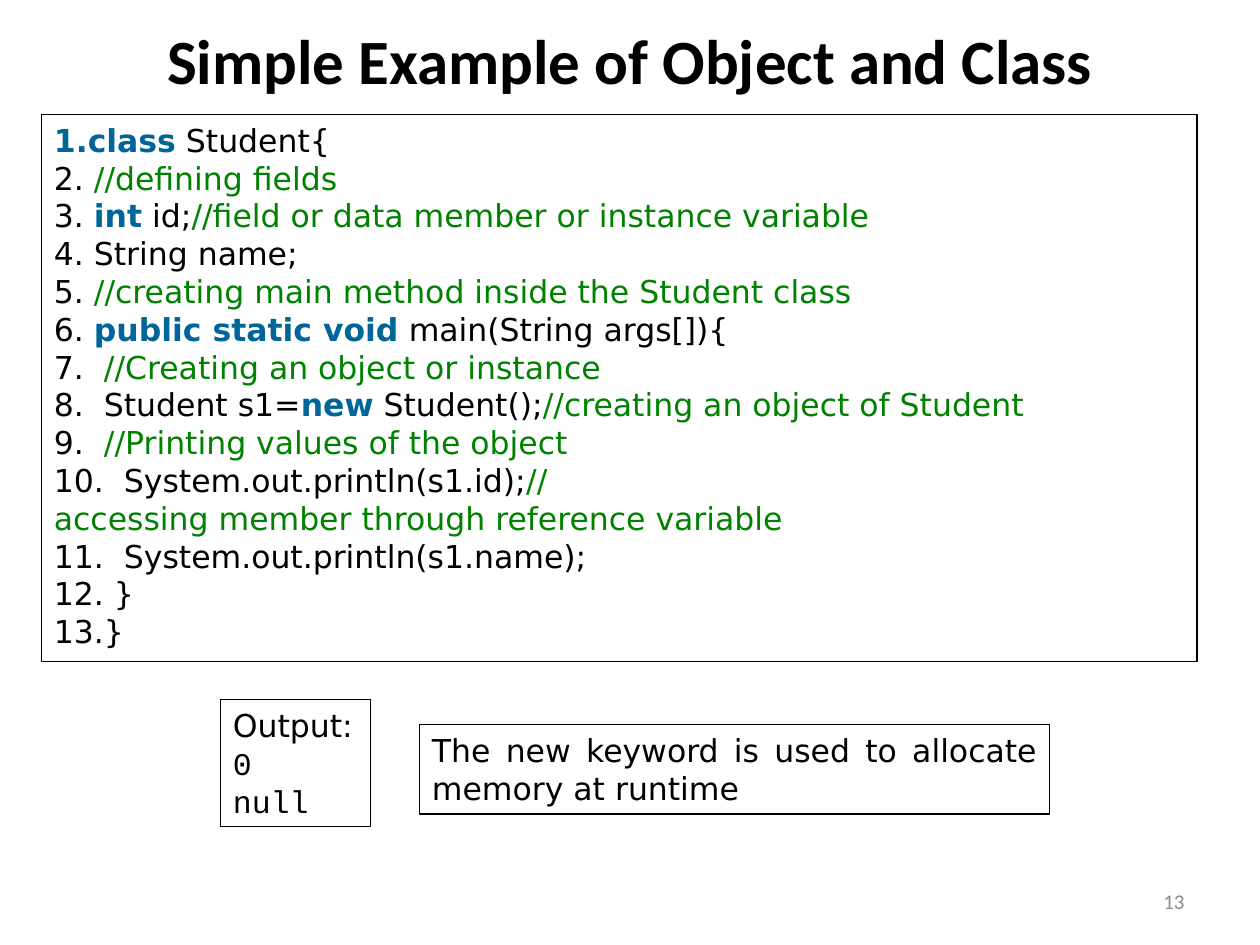
"""Build the slide with a numbered Student class listing, its output and a remark."""
from pptx import Presentation
from pptx.dml.color import RGBColor
from pptx.enum.text import MSO_ANCHOR as Anchor, MSO_AUTO_SIZE as AutoSize, PP_ALIGN as Align
from pptx.util import Inches, Pt
from lxml.etree import SubElement
from pptx.oxml.ns import qn

BLACK, KEYWORD, COMMENT, GREY = "000000", "006699", "008200", "8C8C8C"
BODY_FONT = "DejaVu Sans"


def style(run, color=BLACK, size=18, font=BODY_FONT, bold=False):
    run.font.name, run.font.size, run.font.bold = font, Pt(size), bold
    run.font.color.rgb = RGBColor.from_string(color)


def add_box(left, top, width, height, border=True, anchor=Anchor.TOP):
    box = slide.shapes.add_textbox(*map(Inches, (left, top, width, height)))
    box.text_frame.word_wrap = True
    box.text_frame.auto_size = AutoSize.NONE
    box.text_frame.vertical_anchor = anchor
    if border:
        box.line.color.rgb = RGBColor.from_string(BLACK)
        box.line.width = Pt(0.75)
    return box.text_frame


deck = Presentation()
deck.slide_width, deck.slide_height = Inches(10), Inches(7.5)
slide = deck.slides.add_slide(deck.slide_layouts[5])

title = slide.shapes.title
title.left, title.top, title.width, title.height = map(Inches, (0.5, 0.08, 9, 0.78))
title.text_frame.text = "Simple Example of Object and Class"
title.text_frame.vertical_anchor = Anchor.MIDDLE
title.text_frame.paragraphs[0].alignment = Align.CENTER
style(title.text_frame.paragraphs[0].runs[0], size=36, font="Calibri", bold=True)

remark = add_box(3.33, 5.75, 5, 0.71)
remark.text = "The new keyword is used to allocate memory at runtime"
remark.paragraphs[0].alignment = Align.JUSTIFY
style(remark.paragraphs[0].runs[0])

page_number = add_box(7.17, 6.95, 2.33, 0.4, border=False, anchor=Anchor.MIDDLE)
page_number.text = "13"
page_number.paragraphs[0].alignment = Align.RIGHT
style(page_number.paragraphs[0].runs[0], GREY, 12, "Calibri")

output = add_box(1.75, 5.55, 1.19, 1.01, anchor=Anchor.MIDDLE)
output.word_wrap = False
output.text = "Output:\n0\nnull"
for line, font in zip(output.paragraphs, (BODY_FONT, "Courier New", "Courier New")):
    style(line.runs[0], font=font)

CODE = """*class* Student{
 //defining fields
 *int* id;//field or data member or instance variable
 String name;
 //creating main method inside the Student class
 *public static void* main(String args[]){
  //Creating an object or instance
  Student s1=*new* Student();//creating an object of Student
  //Printing values of the object
  System.out.println(s1.id);//accessing member through reference variable
  System.out.println(s1.name);
 }
}"""

listing = add_box(0.33, 0.91, 9.17, 4.34)
for index, code_line in enumerate(CODE.replace(" ", "\u00a0").split("\n")):
    line = listing.add_paragraph() if index else listing.paragraphs[0]
    SubElement(line._p.get_or_add_pPr(), qn("a:buFont"), typeface="+mj-lt")
    SubElement(line._p.get_or_add_pPr(), qn("a:buAutoNum"), type="arabicPeriod")
    statement, slashes, remainder = code_line.partition("//")
    parts = [(text, KEYWORD if position % 2 else BLACK)
             for position, text in enumerate(statement.split("*"))]
    parts.append((slashes + remainder, COMMENT))
    for text, color in parts:
        if text:
            run = line.add_run()
            run.text = text
            style(run, color, bold=color == KEYWORD)

deck.save("out.pptx")
